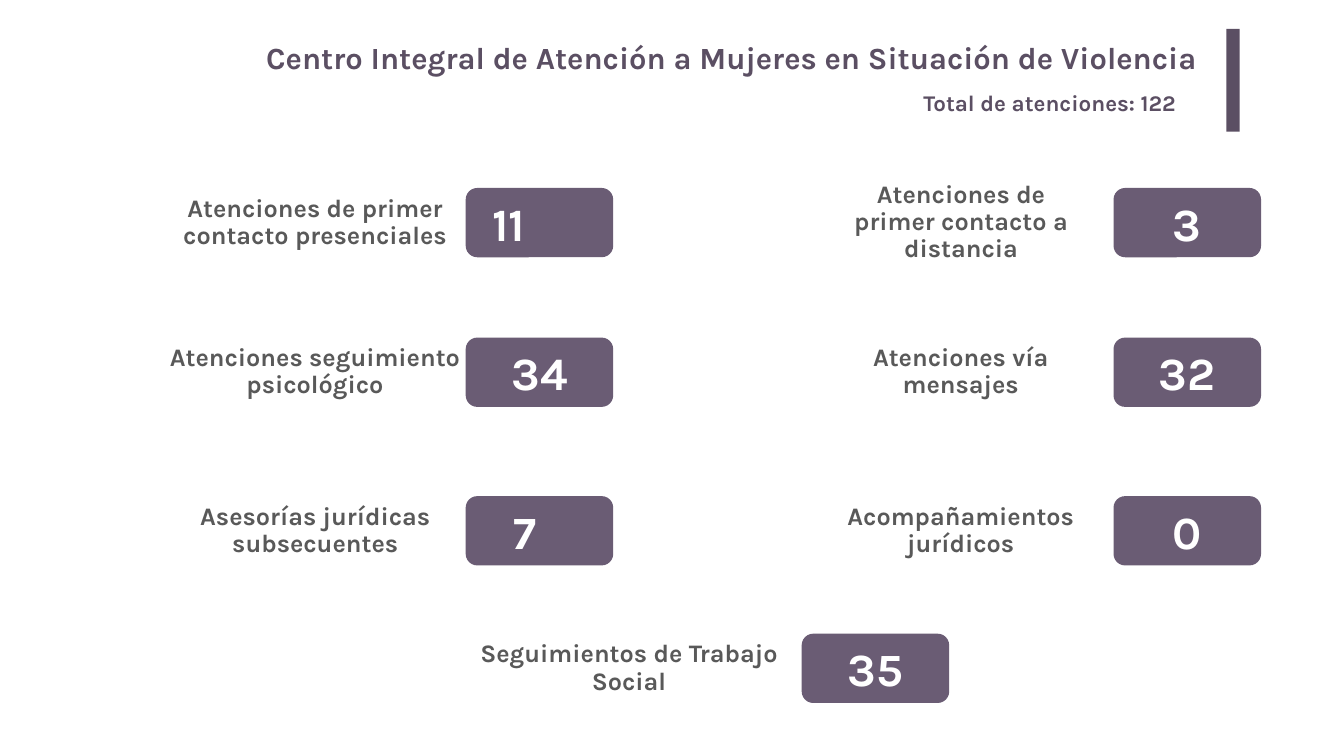
"""Build the slide with the attention counts of the women's support centre."""
from pptx import Presentation
from pptx.dml.color import RGBColor
from pptx.enum.shapes import MSO_SHAPE as Shape
from pptx.enum.text import MSO_ANCHOR as Anchor, MSO_AUTO_SIZE as AutoSize, PP_ALIGN as Align
from pptx.util import Pt

PX = 9525
PURPLE = RGBColor(0x5B, 0x4F, 0x63)
BADGE = RGBColor(0x6A, 0x5C, 0x74)
GRAY = RGBColor(0x59, 0x59, 0x59)
WHITE = RGBColor(0xFF, 0xFF, 0xFF)
FONT = "Karla"

TITLE = "Centro Integral de Atención a Mujeres en Situación de Violencia"
TOTAL = "Total de atenciones: 122"

BADGE_W, BADGE_H = 281, 132
LABEL_H = 116
ROW_TOPS = [358, 643, 945, 1207]
COLUMNS = {"left": (600, 887), "right": (1830, 2121), "middle": (1198, 1527)}
COUNTS = [
    # row, column, label, label width, count, extra right inset
    (0, "left", "Atenciones de primer contacto presenciales", 526, "11", 117),
    (0, "right", "Atenciones de primer contacto a distancia", 495, "3", 0),
    (1, "left", "Atenciones seguimiento psicológico", 750, "34", 0),
    (1, "right", "Atenciones vía mensajes", 568, "32", 0),
    (2, "left", "Asesorías jurídicas subsecuentes", 581, "7", 54),
    (2, "right", "Acompañamientos jurídicos", 620, "0", 0),
    (3, "middle", "Seguimientos de Trabajo Social", 622, "35", 0),
]


def place(s, x, y, w, h):
    s.left, s.top, s.width, s.height = (v * PX for v in (x, y, w, h))


def write(s, text, size, color, align=Align.CENTER, anchor=Anchor.MIDDLE,
          spacing=1.0, inset=(10, 5), extra_right=0):
    tf = s.text_frame
    tf.word_wrap = True
    tf.auto_size = AutoSize.NONE
    tf.vertical_anchor = anchor
    tf.margin_left, tf.margin_right = inset[0] * PX, (inset[0] + extra_right) * PX
    tf.margin_top = tf.margin_bottom = inset[1] * PX
    p = tf.paragraphs[0]
    p.alignment = align
    p.line_spacing = spacing
    r = p.add_run()
    r.text = text
    r.font.name, r.font.size, r.font.bold = FONT, Pt(size), True
    r.font.color.rgb = color


def add_box(slide, x, y, w, h, text, size, color, **fmt):
    s = slide.shapes.add_textbox(*(v * PX for v in (x, y, w, h)))
    write(s, text, size, color, **fmt)


def add_block(slide, kind, x, y, w, h, color):
    s = slide.shapes.add_shape(kind, *(v * PX for v in (x, y, w, h)))
    s.shadow.inherit = False
    s.fill.solid()
    s.fill.fore_color.rgb = color
    s.line.fill.background()
    return s


def main():
    prs = Presentation()
    prs.slide_width, prs.slide_height = 2560 * PX, 1440 * PX
    slide = prs.slides.add_slide(prs.slide_layouts[5])

    title = slide.shapes.title
    place(title, 351, 64, 1949, 98)
    write(title, TITLE, 44, PURPLE, align=Align.RIGHT, anchor=Anchor.TOP, inset=(19, 10))
    add_block(slide, Shape.RECTANGLE, 2336, 55, 25, 196, PURPLE)
    add_box(slide, 1749, 164, 568, 61, TOTAL, 32, PURPLE, align=Align.LEFT, anchor=Anchor.TOP)

    for row, column, label, width, count, extra in COUNTS:
        center, badge_x = COLUMNS[column]
        top = ROW_TOPS[row]
        label_top = top + (BADGE_H - LABEL_H) // 2
        add_box(slide, center - width // 2, label_top, width, LABEL_H, label, 36, GRAY, spacing=0.9)
        badge = add_block(slide, Shape.ROUNDED_RECTANGLE, badge_x, top, BADGE_W, BADGE_H, BADGE)
        write(badge, count, 66, WHITE, extra_right=extra)

    prs.save("out.pptx")


if __name__ == "__main__":
    main()
